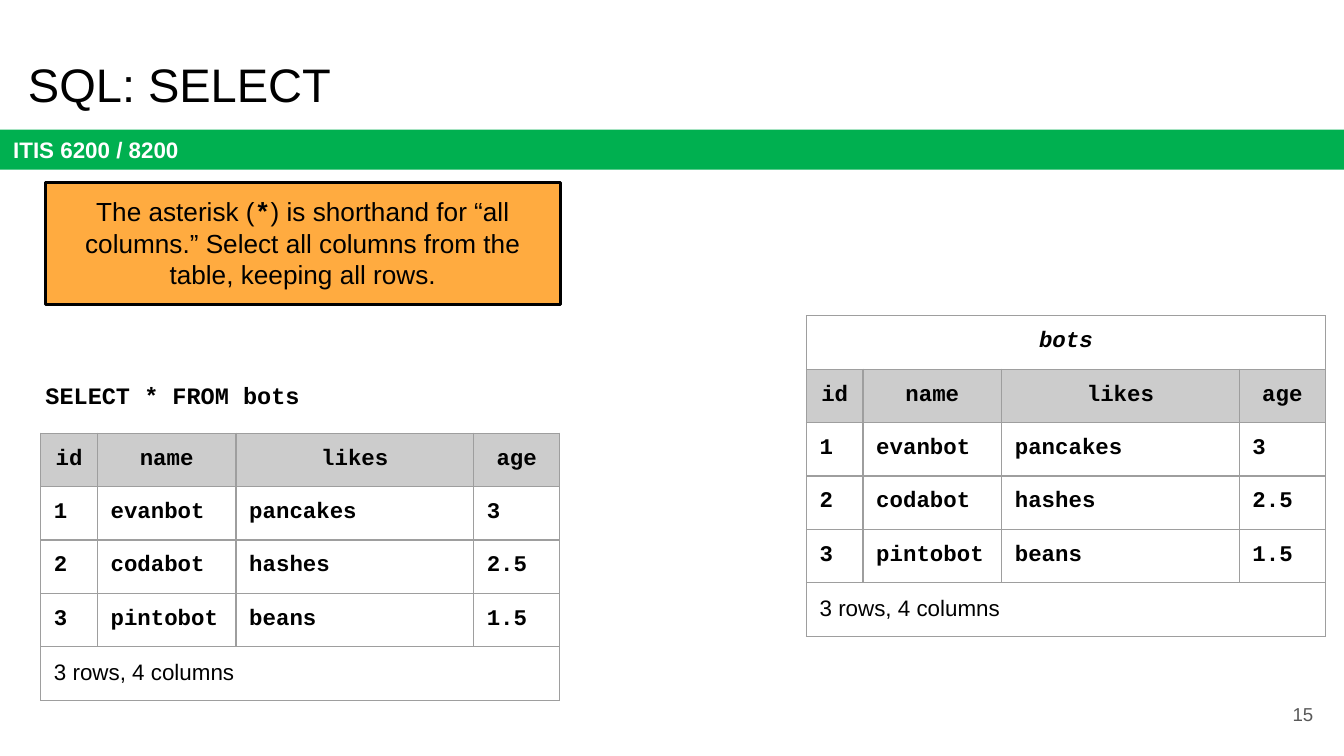
from lxml.etree import SubElement
from pptx import Presentation
from pptx.dml.color import RGBColor
from pptx.enum.shapes import MSO_SHAPE
from pptx.enum.text import MSO_ANCHOR, PP_ALIGN
from pptx.oxml.ns import qn
from pptx.util import Cm, Pt

HUES = {"black": "000000", "white": "FFFFFF", "green": "00B050", "amber": "FFAB40",
        "head": "CCCCCC", "rule": "9E9E9E", "num": "595959"}
MONO = "Courier New"
PAD = Cm(0.25)


def write(frame, text, size=12, font="Arial", hue="black", bold=False,
          slant=False, align=PP_ALIGN.LEFT, anchor=MSO_ANCHOR.TOP):
    """Add one run to the first paragraph, so calls can follow each other."""
    frame.word_wrap = True
    frame.vertical_anchor = anchor
    frame.margin_left = frame.margin_right = PAD
    frame.margin_top = frame.margin_bottom = PAD
    para = frame.paragraphs[0]
    para.alignment = align
    run = para.add_run()
    run.text = text
    run.font.size = Pt(size)
    run.font.name = font
    run.font.bold = bold
    run.font.italic = slant
    run.font.color.rgb = RGBColor.from_string(HUES[hue])
    return para


def border(cell):
    """Draw the four thin grey edges of a table cell."""
    props = cell._tc.get_or_add_tcPr()
    for spot, side in enumerate(("a:lnL", "a:lnR", "a:lnT", "a:lnB")):
        line = SubElement(props, qn(side), w=str(Pt(0.75)))
        fill = SubElement(line, qn("a:solidFill"))
        SubElement(fill, qn("a:srgbClr"), val=HUES["rule"])
        props.remove(line)
        props.insert(spot, line)


deck = Presentation()
deck.slide_width, deck.slide_height = Cm(25.4), Cm(14.29)
slide = deck.slides.add_slide(deck.slide_layouts[6])
shapes = slide.shapes

# Course band
band = shapes.add_shape(MSO_SHAPE.RECTANGLE, 0, Cm(2.45), Cm(25.4), Cm(0.76))
band.shadow.inherit = False
band.fill.solid()
band.fill.fore_color.rgb = RGBColor.from_string(HUES["green"])
band.line.fill.background()
write(band.text_frame, "ITIS 6200 / 8200", hue="white", bold=True,
      anchor=MSO_ANCHOR.MIDDLE)

# Title and page number
title = shapes.add_textbox(Cm(0.28), Cm(0.76), Cm(23.67), Cm(1.6))
write(title.text_frame, "SQL: SELECT", size=25.2, anchor=MSO_ANCHOR.BOTTOM)
page = shapes.add_textbox(Cm(23.55), Cm(12.95), Cm(1.52), Cm(1.09))
write(page.text_frame, "15", size=10, hue="num", align=PP_ALIGN.RIGHT,
      anchor=MSO_ANCHOR.MIDDLE)

# Source table and query result: same rows, one with its name on top
heads = ["id", "name", "likes", "age"]
bots = [["1", "evanbot", "pancakes", "3"],
        ["2", "codabot", "hashes", "2.5"],
        ["3", "pintobot", "beans", "1.5"]]
widths = [1.07, 2.62, 4.49, 1.63]
high = 0.98
body = [heads, *bots, ["3 rows, 4 columns"]]

for left, top, rows in [(15.24, 5.97, [["bots"], *body]), (0.77, 8.19, body)]:
    frame = shapes.add_table(len(rows), len(widths), Cm(left), Cm(top),
                             Cm(sum(widths)), Cm(high * len(rows)))
    grid = frame.table
    grid.first_row = grid.horz_banding = False
    for col, wide in zip(grid.columns, widths):
        col.width = Cm(wide)
    for r, row in enumerate(rows):
        grid.rows[r].height = Cm(high)
        if len(row) == 1:
            grid.cell(r, 0).merge(grid.cell(r, len(widths) - 1))
        for c in range(len(widths)):
            cell = grid.cell(r, c)
            cell.margin_left = cell.margin_right = PAD
            cell.margin_top = cell.margin_bottom = PAD
            if row is heads:
                cell.fill.solid()
                cell.fill.fore_color.rgb = RGBColor.from_string(HUES["head"])
            else:
                cell.fill.background()
            border(cell)
            if c < len(row):
                last = row is rows[-1]
                mid = row is heads or row == ["bots"]
                write(cell.text_frame, row[c], font="Arial" if last else MONO,
                      bold=not last, slant=row == ["bots"],
                      align=PP_ALIGN.CENTER if mid else PP_ALIGN.LEFT)

# Query
query = shapes.add_textbox(Cm(0.61), Cm(6.99), Cm(12.24), Cm(1.47))
para = write(query.text_frame, "SELECT * FROM bots", size=12.6, font=MONO, bold=True)
para.line_spacing = 0.95

# Callout
note = shapes.add_shape(MSO_SHAPE.RECTANGLE, Cm(0.86), Cm(3.45), Cm(9.73), Cm(2.31))
note.shadow.inherit = False
note.fill.solid()
note.fill.fore_color.rgb = RGBColor.from_string(HUES["amber"])
note.line.color.rgb = RGBColor.from_string(HUES["black"])
note.line.width = Pt(1.5)
for text, font in [("The asterisk (", "Arial"), ("*", MONO),
                   (") is shorthand for “all columns.” Select all columns "
                    "from the table, keeping all rows.", "Arial")]:
    write(note.text_frame, text, size=14, font=font, bold=font == MONO,
          align=PP_ALIGN.CENTER)

deck.save("out.pptx")
